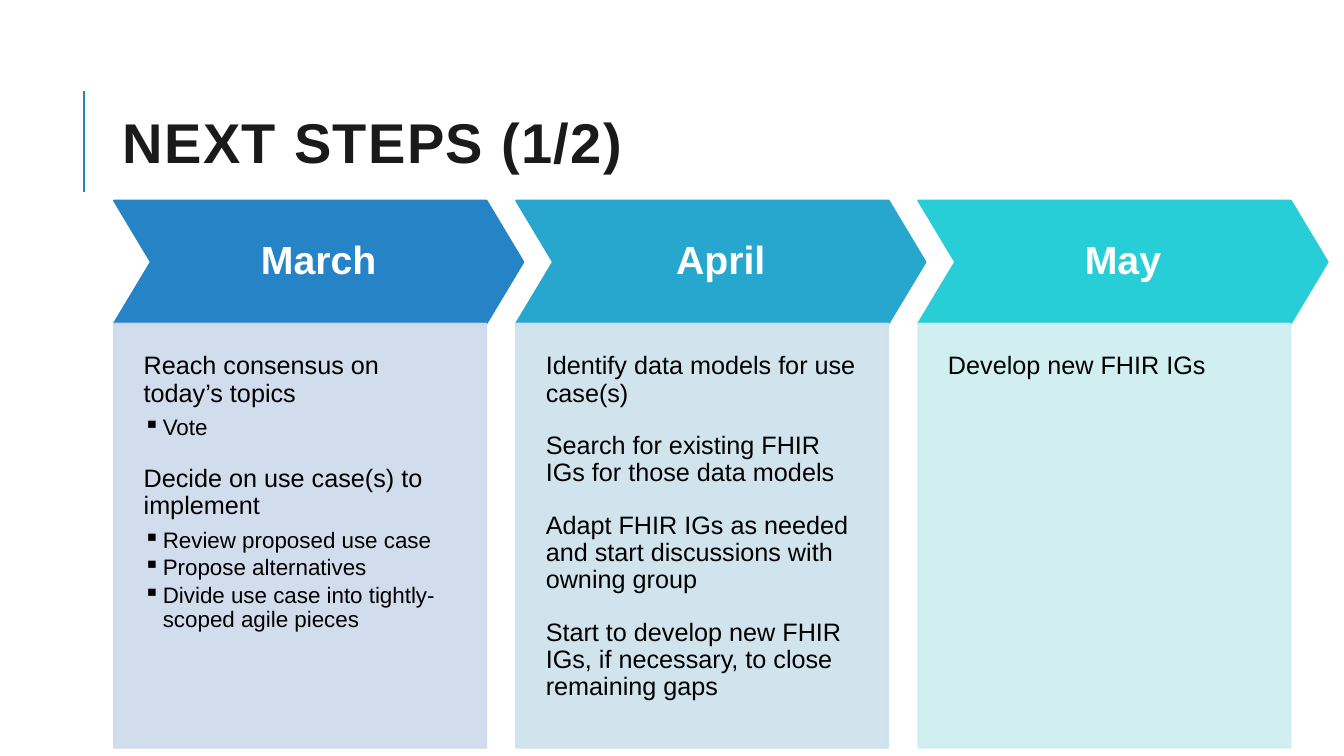
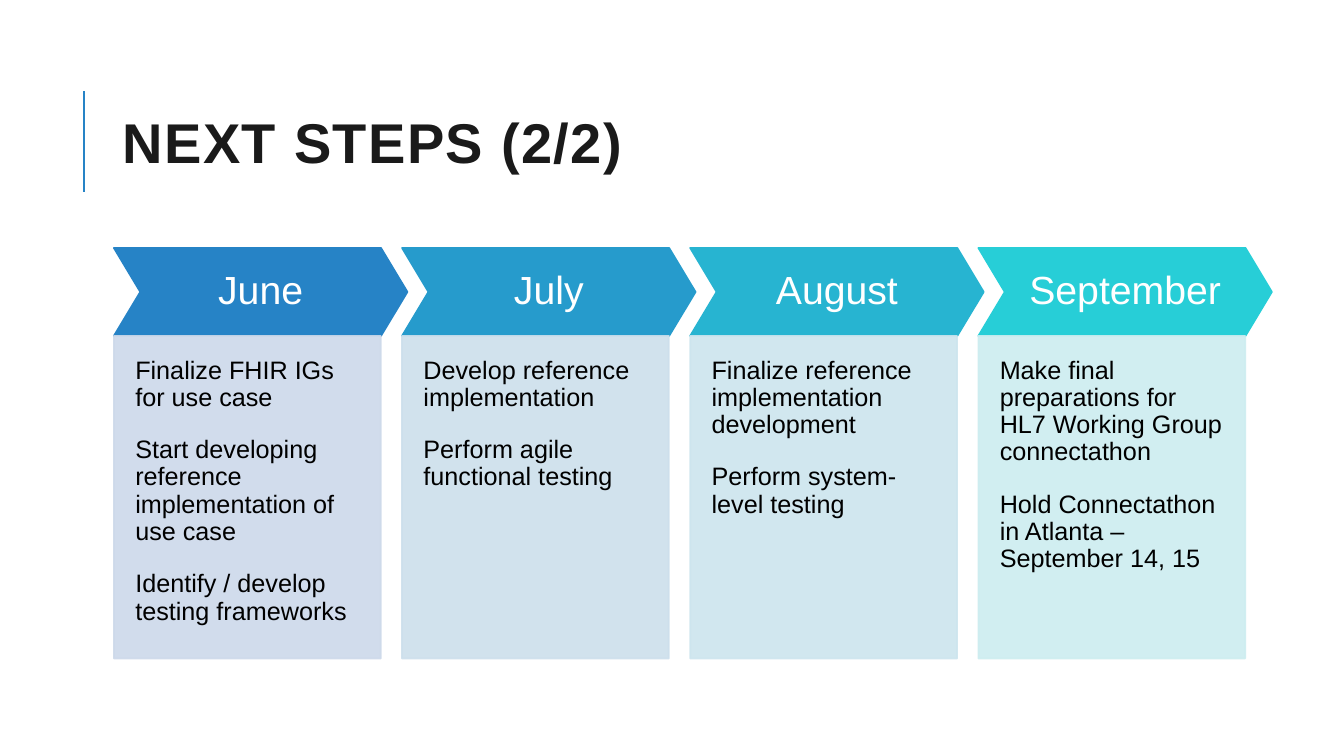
"""Build two month-by-month roadmap slides of chevrons over task panels."""
import pptx
import pptx.dml.color
import pptx.enum.shapes
import pptx.enum.text
import pptx.oxml
import pptx.oxml.ns
import pptx.util

Inches = pptx.util.Inches
Pt = pptx.util.Pt
RGBColor = pptx.dml.color.RGBColor
MSO_SHAPE = pptx.enum.shapes.MSO_SHAPE
MSO_ANCHOR = pptx.enum.text.MSO_ANCHOR
PP_ALIGN = pptx.enum.text.PP_ALIGN
qn = pptx.oxml.ns.qn

BLUE = RGBColor(0x26, 0x83, 0xC6)
AZURE = RGBColor(0x26, 0x9B, 0xCC)
CERULEAN = RGBColor(0x27, 0xA7, 0xCE)
LAGOON = RGBColor(0x27, 0xB4, 0xD1)
TURQUOISE = RGBColor(0x27, 0xCE, 0xD7)
PALE_BLUE = RGBColor(0xCD, 0xD9, 0xEA)
PALE_AZURE = RGBColor(0xCD, 0xDF, 0xEC)
PALE_CERULEAN = RGBColor(0xCD, 0xE2, 0xED)
PALE_LAGOON = RGBColor(0xCD, 0xE5, 0xEE)
PALE_TURQUOISE = RGBColor(0xCD, 0xED, 0xF0)
INK = RGBColor(0x1A, 0x1A, 0x1A)
BLACK = RGBColor(0, 0, 0)
WHITE = RGBColor(0xFF, 0xFF, 0xFF)

TITLE_FONT = {"name": "Arial", "size": Pt(40), "bold": True}
MONTH_FONT = {"name": "Arial", "size": Pt(28)}
TASK_FONT = {"name": "Arial", "size": Pt(18)}
DETAIL_FONT = {"name": "Arial", "size": Pt(16)}

ROADMAP_LEFT = 1.13
GAP_RATIO = 0.08
CHEVRON_WIDTH_RATIO = 1.1
CHEVRON_HEIGHT_RATIO = 0.33
MONTH_INSET_RATIO = 0.04
TASK_INSET_RATIO = 0.08

SLIDES = [
    {
        "title": "NEXT STEPS (1/2)",
        "top": 1.99, "width": 11.67, "panel_height": 4.21, "bold": True,
        "months": [
            ("March", BLUE, PALE_BLUE, [
                ("Reach consensus on today’s topics", ["Vote"]),
                ("Decide on use case(s) to implement", [
                    "Review proposed use case",
                    "Propose alternatives",
                    "Divide use case into tightly-scoped agile pieces"]),
            ]),
            ("April", CERULEAN, PALE_CERULEAN, [
                ("Identify data models for use case(s)", []),
                ("Search for existing FHIR IGs for those data models", []),
                ("Adapt FHIR IGs as needed and start discussions with owning group", []),
                ("Start to develop new FHIR IGs, if necessary, to close remaining gaps", []),
            ]),
            ("May", TURQUOISE, PALE_TURQUOISE, [("Develop new FHIR IGs", [])]),
        ],
    },
    {
        "title": "NEXT STEPS (2/2)",
        "top": 2.46, "width": 11.22, "panel_height": 3.2, "bold": False,
        "months": [
            ("June", BLUE, PALE_BLUE, [
                ("Finalize FHIR IGs for use case", []),
                ("Start developing reference implementation of use case", []),
                ("Identify / develop testing frameworks", []),
            ]),
            ("July", AZURE, PALE_AZURE, [
                ("Develop reference implementation", []),
                ("Perform agile functional testing", []),
            ]),
            ("August", LAGOON, PALE_LAGOON, [
                ("Finalize reference implementation development", []),
                ("Perform system-level testing", []),
            ]),
            ("September", TURQUOISE, PALE_TURQUOISE, [
                ("Make final preparations for HL7 Working Group connectathon", []),
                ("Hold Connectathon in Atlanta – September 14, 15", []),
            ]),
        ],
    },
]


def set_values(target, values):
    for name, value in values.items():
        setattr(target, name, value)


def write_paragraph(paragraph, text, font, color, **layout):
    set_values(paragraph, layout)
    run = paragraph.add_run()
    run.text = text
    set_values(run.font, font)
    run.font.color.rgb = color
    return run


def add_bullet(paragraph):
    properties = paragraph._p.get_or_add_pPr()
    properties.set("marL", str(Inches(0.19)))
    properties.set("indent", str(Inches(-0.19)))
    bullet = pptx.oxml.parse_xml(
        '<a:buChar xmlns:a="http://schemas.openxmlformats.org/drawingml/2006/main" char="▪"/>')
    properties.append(bullet)


def add_title(slide, text):
    rule = slide.shapes.add_connector(
        pptx.enum.shapes.MSO_CONNECTOR.STRAIGHT,
        Inches(0.83), Inches(1.9), Inches(0.83), Inches(0.9))
    rule.line.color.rgb = BLUE
    rule.line.width = Pt(1.5)
    pptx.oxml.ns
    effects = rule._element.spPr.makeelement(qn("a:effectLst"), {})
    rule._element.spPr.append(effects)

    title = slide.shapes.add_textbox(Inches(1.12), Inches(0.64), Inches(10.63), Inches(1.64))
    set_values(title.text_frame, {"word_wrap": True, "vertical_anchor": MSO_ANCHOR.MIDDLE})
    run = write_paragraph(title.text_frame.paragraphs[0], text, TITLE_FONT, INK, line_spacing=0.8)
    run._r.get_or_add_rPr().set("spc", "100")


def add_block(slide, preset, box, color, inset, anchor):
    block = slide.shapes.add_shape(preset, *map(Inches, box))
    block.shadow.inherit = False
    block.fill.solid()
    block.fill.fore_color.rgb = color
    block.line.color.rgb = color
    block.line.width = Pt(1.25)
    margins = {f"margin_{side}": Inches(inset) for side in ("left", "top", "right", "bottom")}
    set_values(block.text_frame, {**margins, "word_wrap": True, "vertical_anchor": anchor})
    return block


def add_month(slide, box, name, color, bold, inset):
    chevron = add_block(slide, MSO_SHAPE.CHEVRON, box, color, inset, MSO_ANCHOR.MIDDLE)
    chevron.adjustments[0] = 0.3
    write_paragraph(chevron.text_frame.paragraphs[0], name, {**MONTH_FONT, "bold": bold}, WHITE,
                    alignment=PP_ALIGN.CENTER, line_spacing=0.9)


def add_tasks(slide, box, tasks, color, inset):
    panel = add_block(slide, MSO_SHAPE.RECTANGLE, box, color, inset, MSO_ANCHOR.TOP)
    for tint in panel._element.spPr.iter(qn("a:srgbClr")):
        tint.append(tint.makeelement(qn("a:alpha"), {"val": "90000"}))
    lines = []
    for task, details in tasks:
        lines.append((task, TASK_FONT, 6.3 if details else 18))
        lines += [(detail, DETAIL_FONT, 2.4) for detail in details[:-1]]
        lines += [(detail, DETAIL_FONT, 18) for detail in details[-1:]]
    for index, (text, font, space) in enumerate(lines):
        frame = panel.text_frame
        paragraph = frame.add_paragraph() if index else frame.paragraphs[0]
        if font is DETAIL_FONT:
            add_bullet(paragraph)
        write_paragraph(paragraph, text, font, BLACK, alignment=PP_ALIGN.LEFT,
                        line_spacing=0.9, space_after=Pt(space))


def add_roadmap(slide, plan):
    count = len(plan["months"])
    width = plan["width"] / (count + GAP_RATIO * (count - 1))
    month_height = width * CHEVRON_HEIGHT_RATIO
    panel_top = plan["top"] + month_height
    for index, (name, color, pale, tasks) in enumerate(plan["months"]):
        left = ROADMAP_LEFT + index * width * (1 + GAP_RATIO)
        add_month(slide, (left, plan["top"], width * CHEVRON_WIDTH_RATIO, month_height),
                  name, color, plan["bold"], width * MONTH_INSET_RATIO)
        add_tasks(slide, (left, panel_top, width, plan["panel_height"]),
                  tasks, pale, width * TASK_INSET_RATIO)


def main():
    deck = pptx.Presentation()
    set_values(deck, {"slide_width": Inches(13.33), "slide_height": Inches(7.5)})
    for plan in SLIDES:
        slide = deck.slides.add_slide(deck.slide_layouts[6])
        add_title(slide, plan["title"])
        add_roadmap(slide, plan)
    deck.save("out.pptx")


if __name__ == "__main__":
    main()
